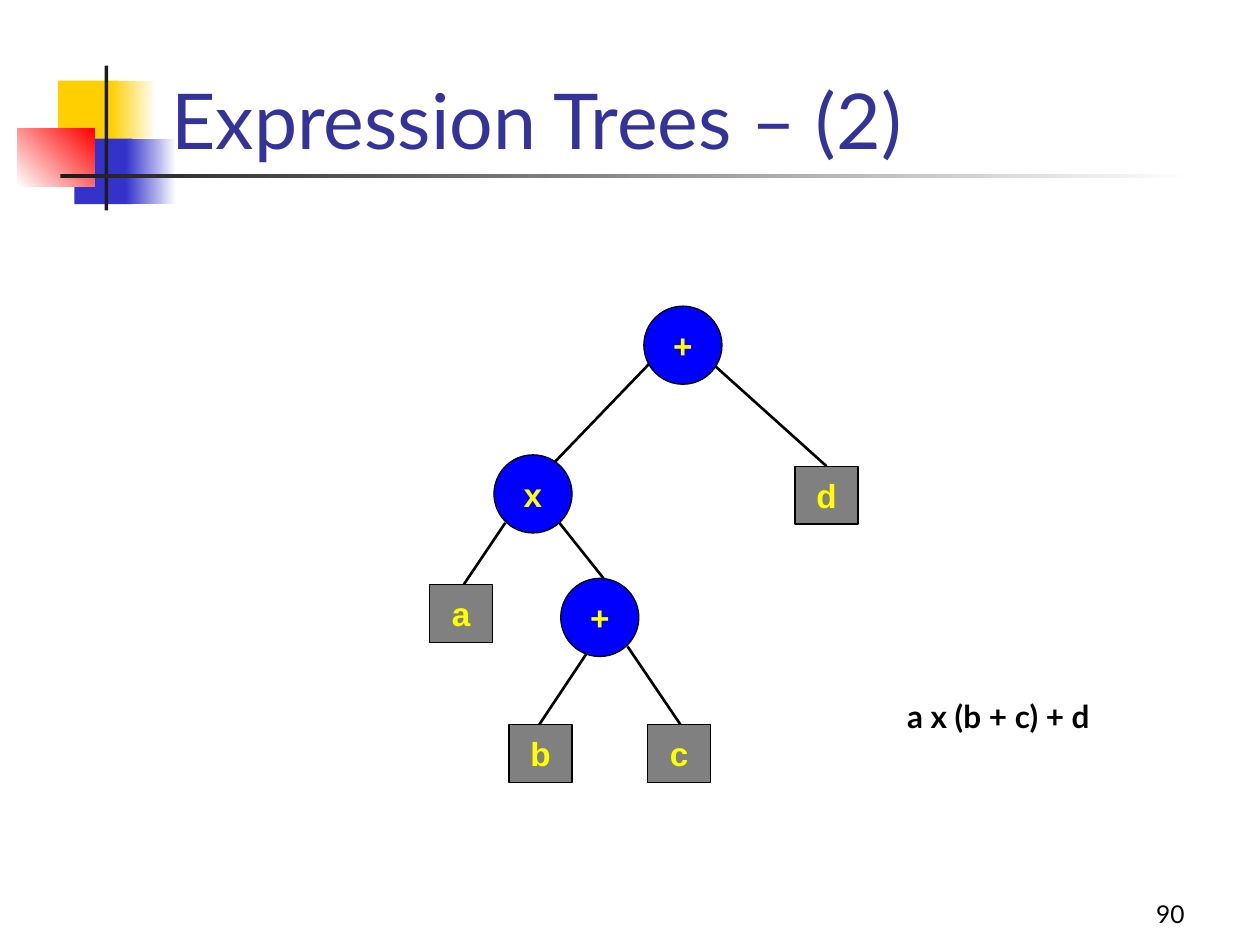
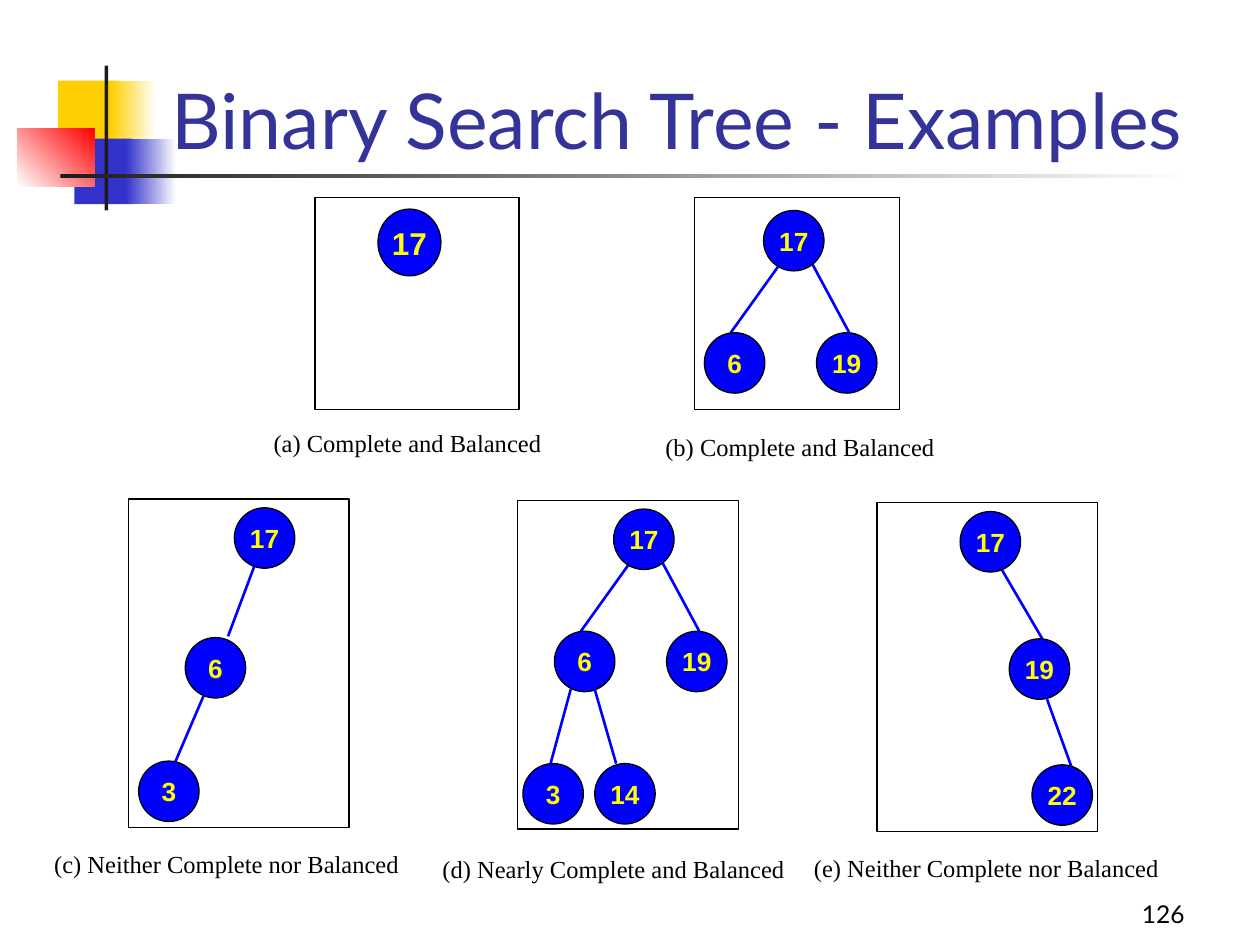
import pptx
import pptx.dml.color
import pptx.enum.shapes
import pptx.enum.text
import pptx.util
from lxml import etree
from pptx.util import Inches

SHAPE = pptx.enum.shapes.MSO_SHAPE
ALIGN = pptx.enum.text.PP_ALIGN
ANCHOR = pptx.enum.text.MSO_ANCHOR

BLACK, WHITE, YELLOW = "000000", "FFFFFF", "FFFF00"
NODE_BLUE, LEAF_GRAY, TITLE_BLUE = "0000FF", "808080", "333399"
GOLD, INDIGO, RED, CHARCOAL = "FFCF01", "3333CC", "FF0000", "1C1C1C"
BODY_FONT, NODE_FONT, CAPTION_FONT = "Lato", "Arial", "Times New Roman"

SEARCH_NODE = 0.48  # diameter of a search tree node


def rgb(value):
    return pptx.dml.color.RGBColor.from_string(value)


def style_text(frame, text, font, size, color, align=ALIGN.CENTER, bold=False):
    frame.text = text
    paragraph = frame.paragraphs[0]
    paragraph.alignment = align
    paragraph.font.name = font
    paragraph.font.size = pptx.util.Pt(size)
    paragraph.font.bold = bold
    paragraph.font.color.rgb = rgb(color)


def add_box(slide, kind, left, top, width, height, fill, outline=BLACK):
    box = slide.shapes.add_shape(
        kind, Inches(left), Inches(top), Inches(width), Inches(height))
    box.shadow.inherit = False
    box.fill.solid()
    box.fill.fore_color.rgb = rgb(fill)
    if outline:
        box.line.color.rgb = rgb(outline)
        box.line.width = pptx.util.Pt(0.75)
    else:
        box.line.fill.background()
    return box


def add_label(slide, text, left, top, width, height, font, size,
              align=ALIGN.CENTER, bold=False, wrap=False):
    label = slide.shapes.add_textbox(
        Inches(left), Inches(top), Inches(width), Inches(height))
    label.text_frame.word_wrap = wrap
    style_text(label.text_frame, text, font, size, BLACK, align, bold)
    return label


def add_node(slide, text, left, top, width, height=None, size=15,
             kind=SHAPE.FLOWCHART_CONNECTOR, fill=NODE_BLUE):
    node = add_box(slide, kind, left, top, width, height or width, fill)
    frame = node.text_frame
    frame.margin_left = frame.margin_right = 0
    frame.margin_top = frame.margin_bottom = 0
    frame.word_wrap = False
    frame.vertical_anchor = ANCHOR.MIDDLE
    style_text(frame, text, NODE_FONT, size, YELLOW, bold=True)


def add_edge(slide, x1, y1, x2, y2, color):
    edge = slide.shapes.add_connector(
        pptx.enum.shapes.MSO_CONNECTOR.STRAIGHT,
        Inches(x1), Inches(y1), Inches(x2), Inches(y2))
    edge.line.color.rgb = rgb(color)
    edge.line.width = pptx.util.Pt(1.5)
    properties = edge._element.spPr
    etree.SubElement(properties, pptx.oxml.ns.qn("a:effectLst"))


def add_band(slide, left, top, width, height, start, end=None, angle=0):
    band = add_box(slide, SHAPE.RECTANGLE, left, top, width, height, start, None)
    if end:
        band.fill.gradient()
        band.fill.gradient_angle = angle
        for stop, color in zip(band.fill.gradient_stops, (start, end)):
            stop.color.rgb = rgb(color)
    return band


def decorate_layout(layout, slide):
    """Draw the corner motif and title rule, then hand them to the layout."""
    bands = [
        (0.46, 0.64, 0.48, 0.52, GOLD),
        (0.88, 0.64, 0.36, 0.52, GOLD, WHITE),
        (0.59, 1.1, 0.46, 0.52, INDIGO),
        (1, 1.1, 0.4, 0.52, INDIGO, WHITE),
        (0.14, 1.02, 0.61, 0.46, WHITE, RED, 45),
        (0.83, 0.52, 0.03, 1.15, CHARCOAL),
        (0.48, 1.38, 9, 0.03, CHARCOAL, WHITE),
    ]
    for band in bands:
        layout.shapes._spTree.append(add_band(slide, *band)._element)


def add_titled_slide(prs, layout, title, number):
    slide = prs.slides.add_slide(layout)
    heading = slide.shapes.title
    heading.left, heading.top = Inches(1.26), Inches(0.11)
    heading.width, heading.height = Inches(8.52), Inches(1.25)
    heading.text_frame.auto_size = pptx.enum.text.MSO_AUTO_SIZE.NONE
    heading.text_frame.vertical_anchor = ANCHOR.BOTTOM
    style_text(heading.text_frame, title, BODY_FONT, 44, TITLE_BLUE, ALIGN.LEFT)
    page = add_label(slide, number, 7.42, 6.92, 2.08, 0.5, BODY_FONT, 14,
                     ALIGN.RIGHT, wrap=True)
    page.text_frame.vertical_anchor = ANCHOR.BOTTOM
    return slide


def draw_expression_tree(slide):
    edges = [
        (5.15, 2.89, 4.4, 3.67), (5.67, 2.9, 6.56, 3.7),
        (4.01, 4.15, 3.68, 4.64), (4.44, 4.15, 4.79, 4.59),
        (4.66, 5.18, 4.28, 5.75), (4.98, 5.13, 5.4, 5.75),
    ]
    for edge in edges:
        add_edge(slide, *edge, BLACK)
    # Operators are circles, operands are boxes
    for operator, left, top in [("+", 5.11, 2.43), ("x", 3.92, 3.61),
                                ("+", 4.45, 4.59)]:
        add_node(slide, operator, left, top, 0.62, size=19)
    for operand, left, top in [("a", 3.41, 4.64), ("d", 6.31, 3.7),
                               ("b", 4.04, 5.75), ("c", 5.14, 5.75)]:
        add_node(slide, operand, left, top, 0.5, 0.46, 19,
                 SHAPE.RECTANGLE, LEAF_GRAY)
    add_label(slide, "a x (b + c) + d", 7.1, 5.48, 1.85, 0.4, BODY_FONT, 18,
              ALIGN.LEFT, bold=True)


def add_panel(slide, left, top, width, height, caption,
              caption_left, caption_top, caption_width):
    add_box(slide, SHAPE.RECTANGLE, left, top, width, height, WHITE)
    add_label(slide, caption, caption_left, caption_top, caption_width, 0.34,
              CAPTION_FONT, 14)


def add_search_tree(slide, nodes, edges):
    for edge in edges:
        add_edge(slide, *edge, NODE_BLUE)
    for key, left, top in nodes:
        add_node(slide, key, left, top, SEARCH_NODE)


def add_family(slide, left, top):
    """Root 17 at (left, top) with children 6 and 19."""
    add_search_tree(
        slide,
        [("17", left, top), ("6", left - 0.47, top + 0.97),
         ("19", left + 0.42, top + 0.97)],
        [(left + 0.12, top + 0.44, left - 0.26, top + 0.97),
         (left + 0.39, top + 0.43, left + 0.68, top + 0.97)])


def draw_search_trees(slide):
    # Upper row
    add_panel(slide, 2.5, 1.57, 1.62, 1.68,
              "(a) Complete and Balanced", 2.07, 3.35, 2.33)
    add_node(slide, "17", 3, 1.66, 0.5, 0.53, size=18)

    add_panel(slide, 5.51, 1.57, 1.63, 1.68,
              "(b) Complete and Balanced", 5.18, 3.38, 2.34)
    add_family(slide, 6.06, 1.67)

    # Lower row
    add_panel(slide, 1.02, 3.96, 1.75, 2.61,
              "(c) Neither Complete nor Balanced", 0.33, 6.69, 2.94)
    add_search_tree(
        slide, [("17", 1.86, 4.03), ("6", 1.47, 5.06), ("3", 1.1, 6.04)],
        [(2.02, 4.49, 1.81, 5.05), (1.63, 5.49, 1.39, 6.05)])

    add_panel(slide, 4.11, 3.97, 1.75, 2.61,
              "(d) Nearly Complete and Balanced", 3.41, 6.73, 2.92)
    add_family(slide, 4.87, 4.04)
    add_search_tree(
        slide, [("3", 4.15, 6.06), ("14", 4.72, 6.06)],
        [(4.53, 5.47, 4.37, 6.06), (4.72, 5.47, 4.89, 6.06)])

    add_panel(slide, 6.96, 3.99, 1.75, 2.61,
              "(e) Neither Complete nor Balanced", 6.36, 6.72, 2.94)
    add_search_tree(
        slide, [("17", 7.62, 4.06), ("19", 8.01, 5.07), ("22", 8.19, 6.07)],
        [(7.95, 4.52, 8.29, 5.1), (8.31, 5.55, 8.52, 6.13)])


def main():
    prs = pptx.Presentation()
    prs.slide_width, prs.slide_height = Inches(10), Inches(7.5)
    layout = prs.slide_layouts.get_by_name("Title Only")

    expression = add_titled_slide(prs, layout, "Expression Trees – (2)", "90")
    decorate_layout(layout, expression)
    draw_expression_tree(expression)

    search = add_titled_slide(prs, layout, "Binary Search Tree - Examples", "126")
    draw_search_trees(search)

    prs.save("out.pptx")


if __name__ == "__main__":
    main()
